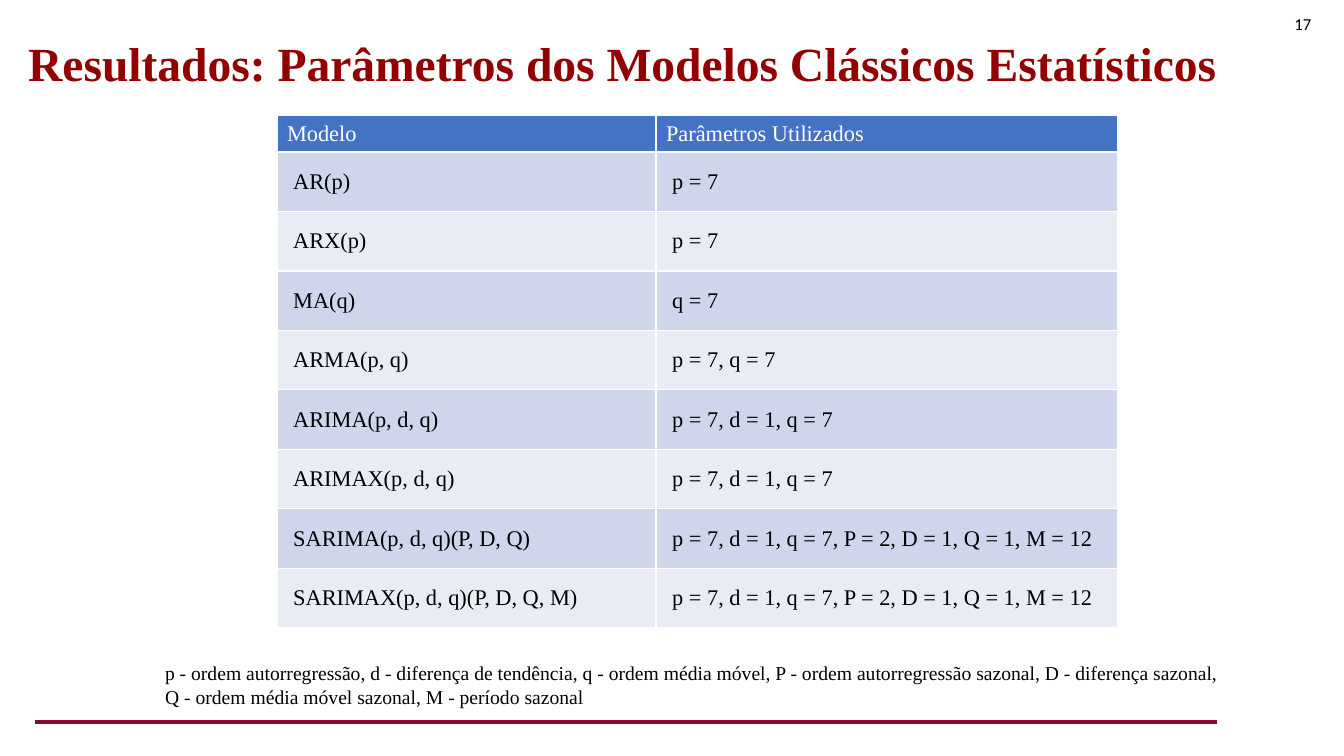
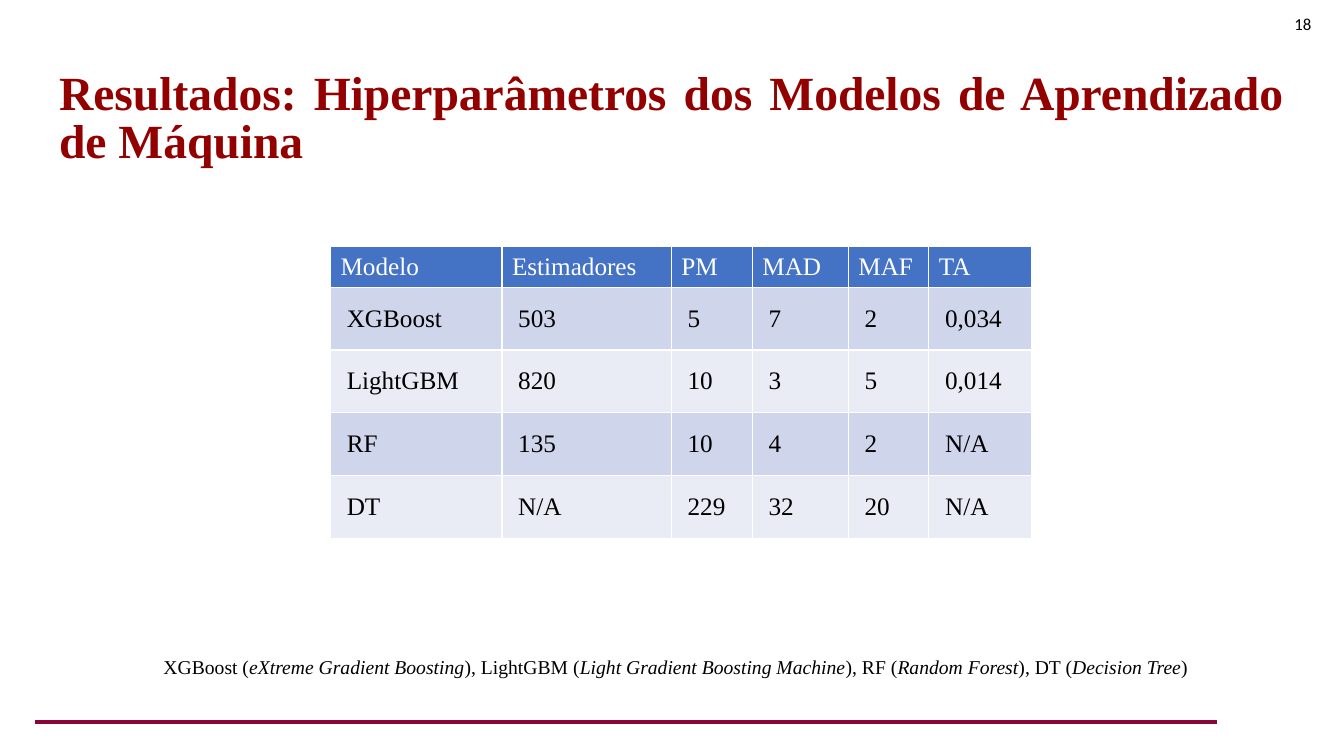
from lxml.etree import SubElement
from pptx import Presentation
from pptx.dml.color import RGBColor
from pptx.enum.shapes import MSO_CONNECTOR as Connector
from pptx.enum.text import MSO_ANCHOR as Anchor, PP_ALIGN as Align
from pptx.oxml.ns import qn
from pptx.util import Cm, Pt


def color(hex_value):
    return RGBColor.from_string(hex_value)


class Deck:
    SERIF, SANS = "Times New Roman", "Calibri"
    TITLE, RULE, INK, WHITE = "920000", "8A0538", "000000", "FFFFFF"
    HEADER, BANDS = "4472C4", ("CFD5EA", "E9EBF5")

    def __init__(self):
        self.prs = Presentation()
        self.prs.slide_width, self.prs.slide_height = Cm(33.87), Cm(19.05)
        self.slide = None

    def new_slide(self, number):
        self.slide = self.prs.slides.add_slide(self.prs.slide_layouts[6])
        self.rule()
        self.text((25.68, 0.1, 7.62, 1.02), [(str(number), False)], 12, font=self.SANS,
                  anchor=Anchor.MIDDLE, align=Align.RIGHT)

    def rule(self):
        rule = self.slide.shapes.add_connector(
            Connector.STRAIGHT, Cm(0.89), Cm(18.19), Cm(30.66), Cm(18.19))
        rule.line.color.rgb = color(self.RULE)
        rule.line.width = Pt(3)
        SubElement(rule.element.spPr, qn("a:effectLst"))

    def style(self, paragraph, size, ink, font=SERIF, bold=False):
        paragraph.font.name = font
        paragraph.font.size = Pt(size)
        paragraph.font.bold = bold
        paragraph.font.color.rgb = color(ink)

    def text(self, box, runs, size, ink=INK, font=SERIF, bold=False,
             anchor=Anchor.TOP, align=Align.LEFT):
        """Add one paragraph of (words, italic) runs."""
        frame = self.slide.shapes.add_textbox(*map(Cm, box)).text_frame
        frame.word_wrap = True
        frame.vertical_anchor = anchor
        paragraph = frame.paragraphs[0]
        paragraph.alignment = align
        self.style(paragraph, size, ink, font, bold)
        for words, italic in runs:
            run = paragraph.add_run()
            run.text = words
            if italic:
                run.font.italic = True
        return paragraph

    def title(self, box, words, align=Align.LEFT):
        paragraph = self.text(box, [(words, False)], 34, self.TITLE, bold=True,
                              anchor=Anchor.BOTTOM, align=align)
        paragraph.line_spacing = 0.84

    def note(self, box, *runs):
        self.text(box, runs, 14)

    def table(self, left, top, widths, heights, size, rows):
        """Heights are those of the header and of each body row."""
        header_height, body_height = heights
        total = header_height + body_height * (len(rows) - 1)
        grid = self.slide.shapes.add_table(
            len(rows), len(widths), Cm(left), Cm(top), Cm(sum(widths)), Cm(total)).table
        for column, width in zip(grid.columns, widths):
            column.width = Cm(width)
        for r, values in enumerate(rows):
            grid.rows[r].height = Cm(body_height if r else header_height)
            for c, value in enumerate(values):
                self.cell(grid.cell(r, c), value, size, r)

    def cell(self, cell, value, size, row):
        cell.text = value
        cell.vertical_anchor = Anchor.MIDDLE
        cell.fill.solid()
        cell.fill.fore_color.rgb = color(self.BANDS[(row - 1) % 2] if row else self.HEADER)
        if row:
            cell.margin_left = cell.margin_right = Cm(0.41)
            cell.margin_top = cell.margin_bottom = Cm(0.41)
        self.style(cell.text_frame.paragraphs[0], size, self.INK if row else self.WHITE)


def main():
    deck = Deck()

    # Classical statistical models
    deck.new_slide(17)
    deck.title((0.46, 0.61, 31.57, 1.8),
               "Resultados: Parâmetros dos Modelos Clássicos Estatísticos")
    seasonal = "p = 7, d = 1, q = 7, P = 2, D = 1, Q = 1, M = 12"
    deck.table(6.98, 2.9, (9.55, 11.63), (0.9, 1.47), 16, [
        ("Modelo", "Parâmetros Utilizados"),
        ("AR(p)", "p = 7"),
        ("ARX(p)", "p = 7"),
        ("MA(q)", "q = 7"),
        ("ARMA(p, q)", "p = 7, q = 7"),
        ("ARIMA(p, d, q)", "p = 7, d = 1, q = 7"),
        ("ARIMAX(p, d, q)", "p = 7, d = 1, q = 7"),
        ("SARIMA(p, d, q)(P, D, Q)", seasonal),
        ("SARIMAX(p, d, q)(P, D, Q, M)", seasonal),
    ])
    deck.note((3.91, 16.54, 27.28, 1.45), (
        "p - ordem autorregressão, d - diferença de tendência, q - ordem média móvel, "
        "P - ordem autorregressão sazonal, D - diferença sazonal, "
        "Q - ordem média móvel sazonal, M - período sazonal", False))

    # Machine learning models
    deck.new_slide(18)
    deck.title((1.24, 1.12, 31.37, 3.25),
               "Resultados: Hiperparâmetros dos Modelos de Aprendizado de Máquina",
               Align.JUSTIFY)
    deck.table(8.33, 6.22, (4.32, 4.27, 2.04, 2.42, 2.03, 2.6), (0.96, 1.55), 18, [
        ("Modelo", "Estimadores", "PM", "MAD", "MAF", "TA"),
        ("XGBoost", "503", "5", "7", "2", "0,034"),
        ("LightGBM", "820", "10", "3", "5", "0,014"),
        ("RF", "135", "10", "4", "2", "N/A"),
        ("DT", "N/A", "229", "32", "20", "N/A"),
    ])
    deck.note((3.87, 16.38, 26.57, 0.86),
              ("XGBoost (", False), ("eXtreme Gradient Boosting", True),
              ("), LightGBM (", False), ("Light Gradient Boosting Machine", True),
              ("), RF (", False), ("Random Forest", True),
              ("), DT (", False), ("Decision Tree", True), (")", False))

    deck.prs.save("out.pptx")


if __name__ == "__main__":
    main()
